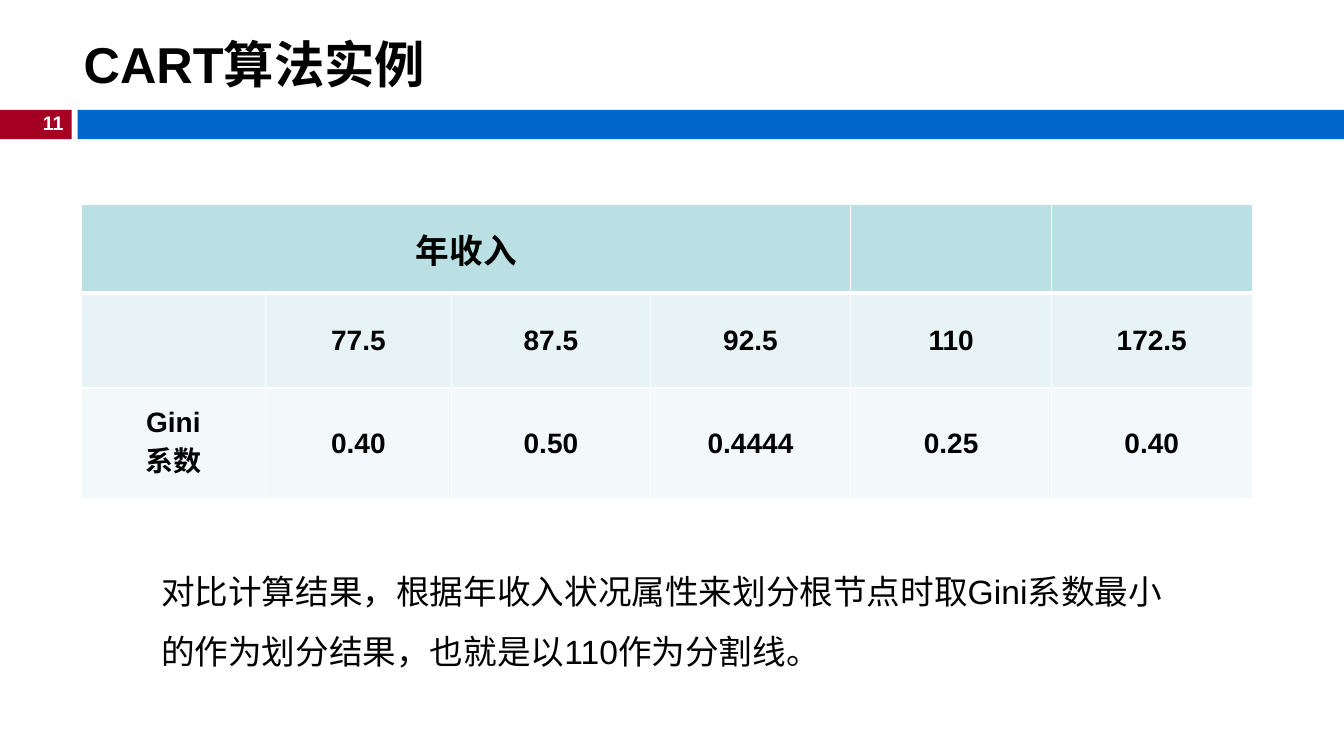
from lxml.etree import SubElement
from pptx import Presentation
from pptx.dml.color import RGBColor
from pptx.enum.shapes import MSO_SHAPE
from pptx.enum.text import MSO_ANCHOR, MSO_AUTO_SIZE, PP_ALIGN
from pptx.oxml import parse_xml
from pptx.oxml.ns import nsdecls, qn
from pptx.util import Inches, Pt

RED = RGBColor(0xA5, 0x00, 0x21)
BLUE = RGBColor(0x00, 0x66, 0xCC)
BLACK = RGBColor(0x00, 0x00, 0x00)
WHITE = RGBColor(0xFF, 0xFF, 0xFF)
ROW_FILLS = [RGBColor(0xBB, 0xE0, 0xE3), RGBColor(0xE7, 0xF3, 0xF4), RGBColor(0xF3, 0xF9, 0xFA)]

COL_WIDTHS = [1.82, 1.85, 1.97, 1.99, 1.99, 1.99]
ROW_HEIGHTS = [0.88, 0.94, 1.1]
ROWS = [
    ["年收入", "", "", "", "", ""],
    ["", "77.5", "87.5", "92.5", "110", "172.5"],
    ["Gini\n系数", "0.40", "0.50", "0.4444", "0.25", "0.40"],
]


def write(tf, text, size, color=BLACK, bold=False, align=PP_ALIGN.LEFT, spacing=None):
    """Fill a text frame with evenly formatted paragraphs."""
    tf.text = text
    for p in tf.paragraphs:
        p.alignment = align
        if spacing:
            p.line_spacing = spacing
        p.font.name = "Arial"
        p.font.size = Pt(size)
        p.font.bold = bold
        p.font.color.rgb = color


def add_text(s, box, text, size, **style):
    """Add a wrapping text box."""
    tf = s.shapes.add_textbox(*map(Inches, box)).text_frame
    tf.word_wrap = True
    write(tf, text, size, **style)


def add_bar(s, box, color):
    """Add a plain filled bar."""
    sp = s.shapes.add_shape(MSO_SHAPE.RECTANGLE, *map(Inches, box))
    sp.shadow.inherit = False
    sp.fill.solid()
    sp.fill.fore_color.rgb = color
    sp.line.fill.background()


def add_header(s, left, top, width, height, number):
    """Place the page number block and the blue band side by side."""
    block, gap = 0.71, 0.06
    add_bar(s, (left, top, block, height), RED)
    add_bar(s, (left + block + gap, top, width - block - gap, height), BLUE)
    add_text(s, (left + 0.29, top - 0.04, 0.44, 0.34), number, 14,
             color=WHITE, bold=True, align=PP_ALIGN.RIGHT)


def set_title(s, box, text):
    """Move the title placeholder and format it."""
    title = s.shapes.title
    title.left, title.top, title.width, title.height = map(Inches, box)
    tf = title.text_frame
    tf.auto_size = MSO_AUTO_SIZE.NONE
    tf.vertical_anchor = MSO_ANCHOR.MIDDLE
    write(tf, text, 36, bold=True)


def set_borders(cell, bottom, top):
    """Draw white borders around a cell."""
    tcPr = cell._tc.get_or_add_tcPr()
    for i, (side, width) in enumerate(zip("LRTB", (1, 1, top, bottom))):
        ln = parse_xml(f'<a:ln{side} {nsdecls("a")} w="{Pt(width)}"/>')
        fill = SubElement(ln, qn("a:solidFill"))
        SubElement(fill, qn("a:srgbClr"), val=str(WHITE))
        tcPr.insert(i, ln)


def add_gini_table(s, left, top):
    """Add the table of split points and Gini values."""
    size = Inches(sum(COL_WIDTHS)), Inches(sum(ROW_HEIGHTS))
    table = s.shapes.add_table(len(ROWS), len(COL_WIDTHS), Inches(left), Inches(top), *size).table
    for col, width in zip(table.columns, COL_WIDTHS):
        col.width = Inches(width)
    for r, (row, height) in enumerate(zip(ROWS, ROW_HEIGHTS)):
        table.rows[r].height = Inches(height)
        for c, text in enumerate(row):
            cell = table.cell(r, c)
            cell.fill.solid()
            cell.fill.fore_color.rgb = ROW_FILLS[r]
            cell.vertical_anchor = MSO_ANCHOR.MIDDLE
            set_borders(cell, bottom=3 if r == 0 else 1, top=3 if r == 1 else 1)
            write(cell.text_frame, text, 24 if r == 0 else 20, bold=True, align=PP_ALIGN.CENTER)
    table.cell(0, 0).merge(table.cell(0, 3))


def main():
    """Build the slide and save it."""
    prs = Presentation()
    prs.slide_width, prs.slide_height = Inches(13.33), Inches(7.5)
    s = prs.slides.add_slide(prs.slide_layouts.get_by_name("Title Only"))
    add_header(s, 0, 1.09, 13.33, 0.29, "11")
    set_title(s, (0.73, 0.26, 12.6, 0.74), "CART算法实例")
    add_gini_table(s, 0.81, 2.03)
    add_text(s, (1.5, 5.41, 10.34, 1.31),
             "对比计算结果，根据年收入状况属性来划分根节点时取Gini系数最小的作为划分结果，也就是以110作为分割线。",
             24, spacing=1.5)
    prs.save("out.pptx")


if __name__ == "__main__":
    main()
